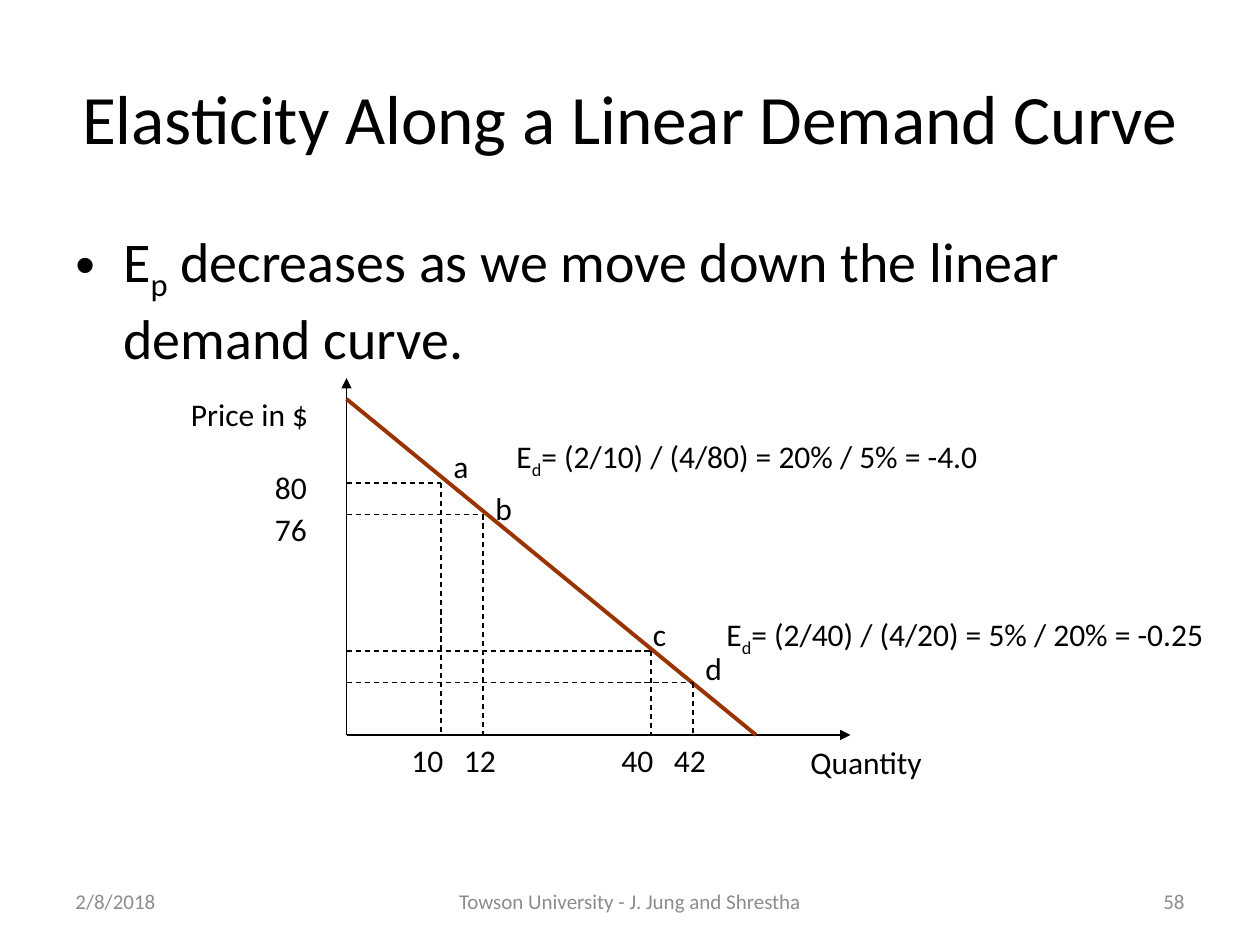
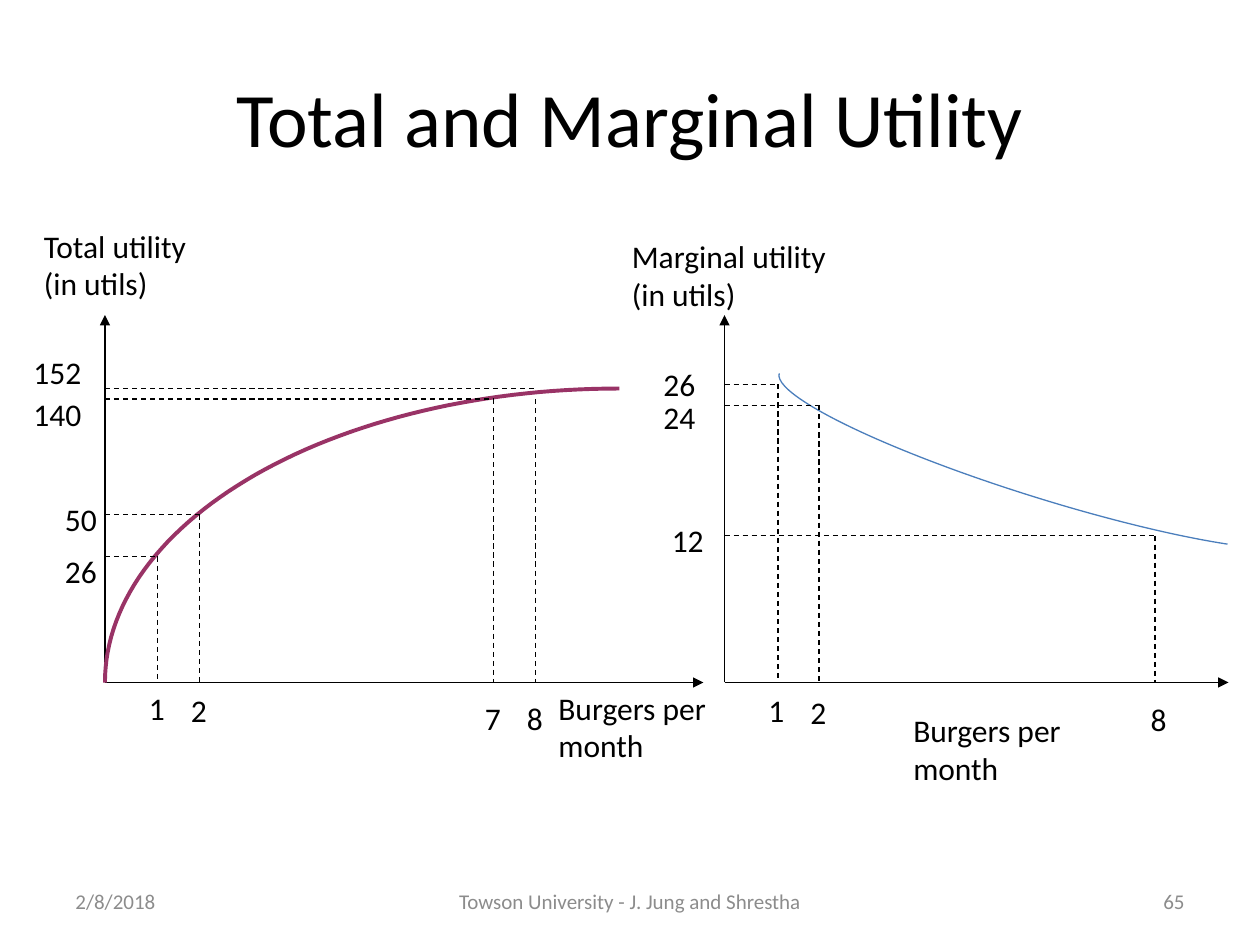
from dataclasses import dataclass, field
from math import cos, pi, sin

from lxml.etree import SubElement
from pptx import Presentation
from pptx.dml.color import RGBColor
from pptx.enum.dml import MSO_LINE
from pptx.enum.shapes import MSO_CONNECTOR, MSO_SHAPE
from pptx.enum.text import MSO_ANCHOR, MSO_AUTO_SIZE, PP_ALIGN
from pptx.oxml.ns import qn
from pptx.util import Inches, Pt

COLUMNS, ROWS = 120, 90
WIDTH, HEIGHT = Inches(10), Inches(7.5)
LABEL_HEIGHT = 4.8
TWO_LINES = 8.4


@dataclass(frozen=True)
class Theme:
    font: str = "Calibri"
    ink: RGBColor = RGBColor(0x00, 0x00, 0x00)
    muted: RGBColor = RGBColor(0x8C, 0x8C, 0x8C)
    demand: RGBColor = RGBColor(0x99, 0x33, 0x00)
    total_utility: RGBColor = RGBColor(0x99, 0x33, 0x66)
    marginal_utility: RGBColor = RGBColor(0x4B, 0x7E, 0xBC)
    title: int = 44
    long_title: float = 39.6
    body: int = 32
    label: int = 18
    footer: int = 12
    thin: float = 0.75
    thick: float = 2.25
    centred: dict = field(default_factory=lambda: {
        "vertical_anchor": MSO_ANCHOR.MIDDLE})
    growing: dict = field(default_factory=lambda: {
        "auto_size": MSO_AUTO_SIZE.SHAPE_TO_FIT_TEXT})


THEME = Theme()


def col(count):
    return round(WIDTH * count / COLUMNS)


def row(count):
    return round(HEIGHT * count / ROWS)


def apply_format(target, values):
    for attribute, value in values.items():
        setattr(target, attribute, value)


def add_text(slide, box, text, size, color=THEME.ink, align=PP_ALIGN.LEFT,
             frame_format=None, bullet=False):
    left, top, width, height = box
    frame = slide.shapes.add_textbox(
        col(left), row(top), col(width), row(height)).text_frame
    apply_format(frame, {"word_wrap": True, **(frame_format or {})})
    paragraph = frame.paragraphs[0]
    paragraph.alignment = align
    if bullet:
        add_bullet(paragraph)
    for position, part in enumerate([text] if isinstance(text, str) else text):
        run = paragraph.add_run()
        run.text = part
        apply_format(run.font, {"name": THEME.font, "size": Pt(size)})
        run.font.color.rgb = color
        if position == 1:
            run._r.get_or_add_rPr().set("baseline", "-25000")


def add_bullet(paragraph):
    properties = paragraph._p.get_or_add_pPr()
    properties.set("marL", str(Inches(0.38)))
    properties.set("indent", str(-Inches(0.38)))
    SubElement(properties, qn("a:buFont")).set("typeface", "Arial")
    SubElement(properties, qn("a:buChar")).set("char", "•")


def add_label(slide, left, top, width, text, height=LABEL_HEIGHT):
    add_text(slide, (left, top, width, height), text, THEME.label,
             frame_format=THEME.growing)


def add_labels(slide, labels):
    for label in labels:
        add_label(slide, *label)


def style_line(line, color, weight):
    line.color.rgb = color
    line.width = Pt(weight)


def add_line(slide, start, end, color=THEME.ink, weight=THEME.thin,
             dashed=False, arrow=False):
    connector = slide.shapes.add_connector(
        MSO_CONNECTOR.STRAIGHT, col(start[0]), row(start[1]),
        col(end[0]), row(end[1]))
    style_line(connector.line, color, weight)
    if dashed:
        connector.line.dash_style = MSO_LINE.DASH
    if arrow:
        SubElement(connector.line._get_or_add_ln(),
                   qn("a:tailEnd")).set("type", "triangle")
    SubElement(connector._element.spPr, qn("a:effectLst"))


def add_axes(slide, origin, top, right):
    for tip in ((origin[0], top), (right, origin[1])):
        add_line(slide, origin, tip, arrow=True)


def add_guides(slide, origin, points):
    for column, height, *drop_from in points:
        drop_top = drop_from[0] if drop_from else height
        add_line(slide, (origin[0], height), (column, height), dashed=True)
        add_line(slide, (column, drop_top), (column, origin[1]), dashed=True)


def style_curve(curve, color, weight):
    curve.shadow.inherit = False
    curve.fill.background()
    style_line(curve.line, color, weight)


def add_rising_curve(slide, origin, end, color, steps=60):
    across, up = end[0] - origin[0], origin[1] - end[1]
    angles = [pi / 2 * step / steps for step in range(steps + 1)]
    points = [(col(end[0] - across * cos(angle)),
               row(origin[1] - up * sin(angle))) for angle in angles]
    builder = slide.shapes.build_freeform(*points[0])
    builder.add_line_segments(points[1:], close=False)
    style_curve(builder.convert_to_shape(), color, THEME.thick)


def add_falling_curve(slide, box, rotation, start, color):
    left, top, width, height = box
    arc = slide.shapes.add_shape(
        MSO_SHAPE.ARC, col(left), row(top), col(width), row(height))
    arc.adjustments[0], arc.adjustments[1] = start, 0
    arc.rotation = rotation
    style_curve(arc, color, THEME.thin)


def add_page(deck, title, title_size, number):
    slide = deck.slides.add_slide(deck.slide_layouts[6])
    add_text(slide, (6, 3.6, 108, 15), title, title_size,
             align=PP_ALIGN.CENTER, frame_format=THEME.centred)
    for left, width, text, align in (
            (6, 28, "2/8/2018", PP_ALIGN.LEFT),
            (41, 38, "Towson University - J. Jung and Shrestha",
             PP_ALIGN.CENTER),
            (86, 28, number, PP_ALIGN.RIGHT)):
        add_text(slide, (left, 83.4, width, 4.8), text, THEME.footer,
                 THEME.muted, align, THEME.centred)
    return slide


def add_elasticity_page(deck):
    slide = add_page(deck, "Elasticity Along a Linear Demand Curve",
                     THEME.long_title, "58")
    add_text(slide, (6, 21, 108, 59.4),
             ("E", "p", " decreases as we move down the linear demand curve."),
             THEME.body, bullet=True)
    origin = (33, 70)
    add_axes(slide, origin, 36, 81)
    add_line(slide, (33, 38), (72, 70), THEME.demand, THEME.thick)
    add_guides(slide, origin, ((42, 46), (46, 49), (62, 62), (66, 65)))
    add_labels(slide, (
        (17, 37, 18, "Price in $"),
        (25, 44, 10, "80"), (25, 48, 10, "76"),
        (38, 70, 8, "10"), (43, 70, 8, "12"),
        (58, 70, 8, "40"), (63, 70, 10, "42"),
        (76, 70.2, 48, "Quantity"),
        (42, 42, 8, "a"), (46, 46, 5, "b"),
        (61, 58, 6, "c"), (66, 61.2, 4, "d"),
        (48, 41, 57, ("E", "d", "= (2/10) / (4/80) = 20% / 5% = -4.0")),
        (68, 58, 57, ("E", "d", "= (2/40) / (4/20) = 5% / 20% = -0.25"))))


def add_total_utility(slide):
    origin = (10, 65)
    add_axes(slide, origin, 30, 67)
    add_rising_curve(slide, origin, (59, 37), THEME.total_utility)
    add_guides(slide, origin,
               ((15, 53), (19, 49), (47, 38), (51, 37, 38)))
    add_labels(slide, (
        (3, 21, 18, "Total utility (in utils)", TWO_LINES),
        (52, 65, 17, "Burgers per month", TWO_LINES),
        (13, 65, 4, "1"), (17, 65.2, 6, "2"),
        (45, 66, 6, "7"), (49, 66, 4, "8"),
        (5, 52, 6, "26"), (5, 47, 7, "50"),
        (2, 37, 9, "140"), (2, 33, 9, "152")))


def add_marginal_utility(slide):
    origin = (69, 65)
    add_axes(slide, origin, 30, 117)
    add_falling_curve(slide, (73, 39.5, 53.4, 8), 197.3, 113.1,
                      THEME.marginal_utility)
    add_guides(slide, origin, ((74.1, 36.6), (78, 38.6), (110, 51)))
    add_labels(slide, (
        (59, 22, 21.6, "Marginal utility (in utils)", TWO_LINES),
        (85.8, 67.1, 17, "Burgers per month", TWO_LINES),
        (72, 65.2, 4, "1"), (76, 65.4, 6, "2"), (108.4, 66.1, 6, "8"),
        (62, 34.2, 8, "26"), (62, 37.3, 8, "24"), (62.8, 49, 7.4, "12")))


def main():
    deck = Presentation()
    apply_format(deck, {"slide_width": WIDTH, "slide_height": HEIGHT})
    add_elasticity_page(deck)
    utility = add_page(deck, "Total and Marginal Utility", THEME.title, "65")
    add_total_utility(utility)
    add_marginal_utility(utility)
    deck.save("out.pptx")


if __name__ == "__main__":
    main()
